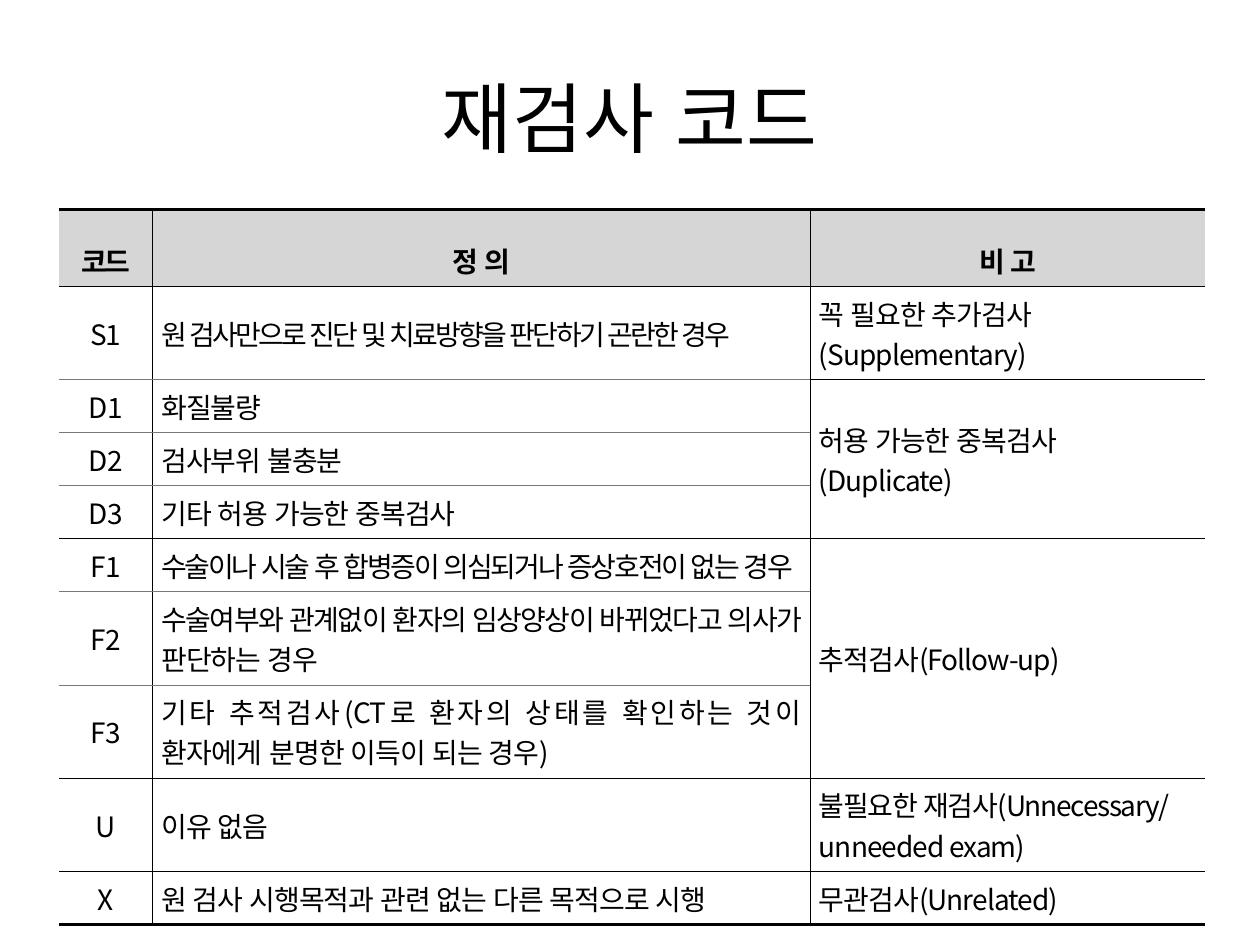
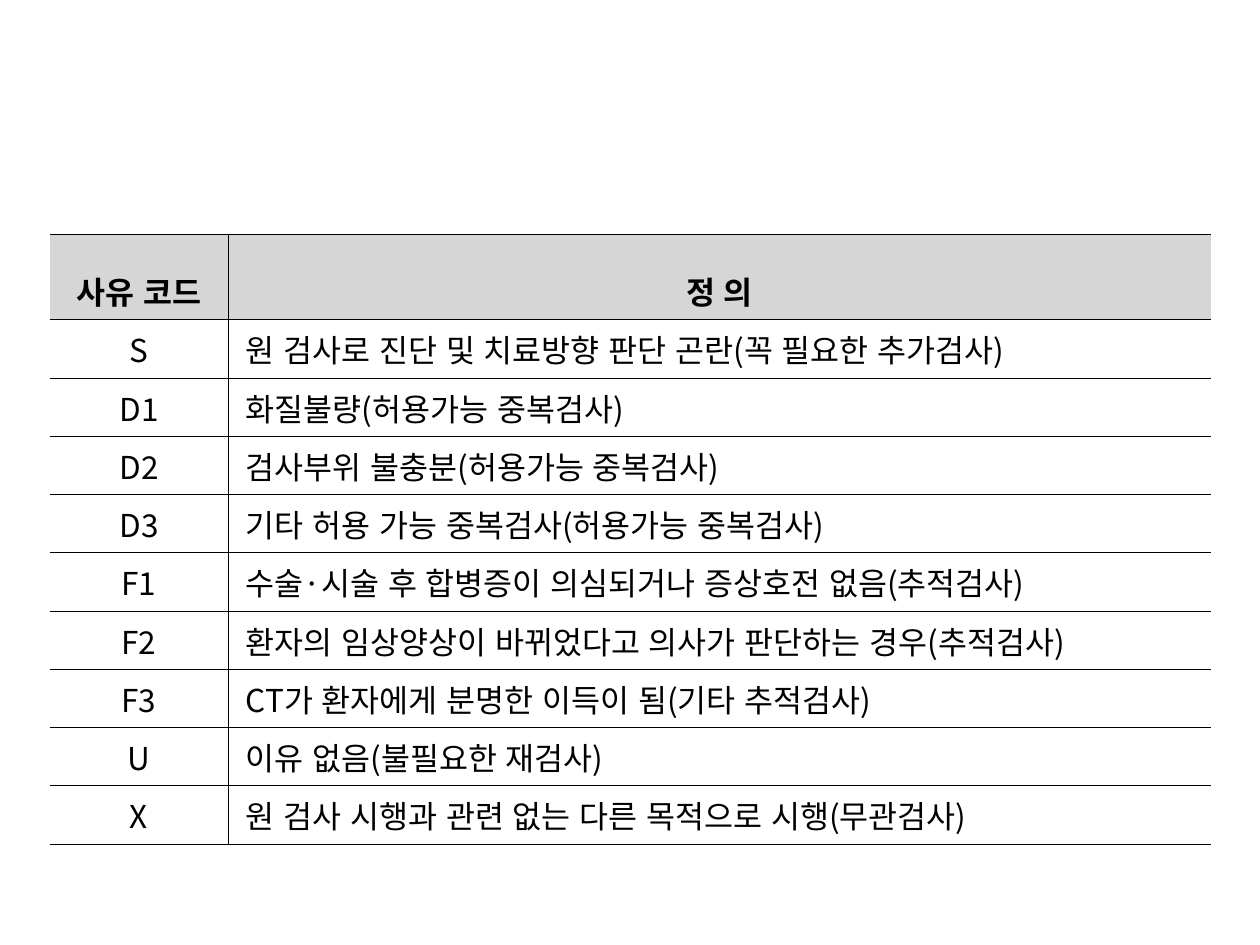
from dataclasses import dataclass

from lxml import etree
from pptx import Presentation
from pptx.dml.color import RGBColor
from pptx.enum.lang import MSO_LANGUAGE_ID as Lang
from pptx.enum.text import MSO_ANCHOR as Anchor, PP_ALIGN as Align
from pptx.oxml.ns import qn
from pptx.util import Pt


@dataclass(frozen=True)
class Theme:
    font: str = "Noto Sans CJK KR"
    ink: str = "000000"
    soft: str = "787878"
    header: str = "D6D6D6"
    title_size: float = 44
    detail_size: float = 16
    summary_size: float = 18
    line: float = 0.56
    heavy: float = 1.7
    hair: float = 0.25
    header_spacing: float = 1.6
    inset_x: float = 5.1
    inset_y: float = 3.6
    no_style: str = "{2D5ABB26-0587-4C30-8999-92F81FD0307C}"


class Deck:
    def __init__(self, theme):
        self.theme = theme
        self.prs = Presentation()
        self.prs.slide_width, self.prs.slide_height = Pt(720), Pt(540)
        self.s = None

    def slide(self, layout):
        self.s = self.prs.slides.add_slide(self.prs.slide_layouts.get_by_name(layout))

    def style(self, r, size, bold=False, spacing=0):
        f = r.font
        f.size, f.bold, f.name = Pt(size), bold, self.theme.font
        f.color.rgb = RGBColor.from_string(self.theme.ink)
        f.language_id = Lang.KOREAN
        rPr = r._r.get_or_add_rPr()
        etree.SubElement(rPr, qn("a:ea"), typeface=self.theme.font)
        if spacing:
            rPr.set("spc", str(round(spacing * 100)))

    def title(self, text, left, top, width, height):
        sp = self.s.shapes.title
        sp.left, sp.top, sp.width, sp.height = map(Pt, (left, top, width, height))
        tf = sp.text_frame
        tf.text = text
        tf.vertical_anchor = Anchor.MIDDLE
        p = tf.paragraphs[0]
        p.alignment = Align.CENTER
        self.style(p.runs[0], self.theme.title_size)

    def border(self, cell, side, width, color):
        ln = etree.SubElement(cell._tc.get_or_add_tcPr(), qn(f"a:ln{side}"))
        if not width:
            etree.SubElement(ln, qn("a:noFill"))
            return
        ln.set("w", str(Pt(width)))
        fill = etree.SubElement(ln, qn("a:solidFill"))
        etree.SubElement(fill, qn("a:srgbClr"), val=color)

    def cell_text(self, cell, text, size, align, bold, tracking, indent):
        tf = cell.text_frame
        tf.text = text.replace("|", "")
        for p, line in zip(tf.paragraphs, text.split("\n")):
            p.alignment = align
            if bold:
                p.line_spacing = self.theme.header_spacing
            elif indent:
                p._p.get_or_add_pPr().set("marL", str(Pt(indent)))
            parts = line.split("|")
            p.runs[0].text = parts[0]
            for part in parts[1:]:
                p.add_run().text = part
            for r in p.runs:
                spacing = tracking.get(r.text, tracking.get("", 0))
                self.style(r, size, bold, spacing)

    def table(self, data, left, top, widths, heights, size, edge,
              align=Align.LEFT, tracking=None, spans=None, soft_rows=(), indent=0):
        th = self.theme
        n_rows, n_cols = len(data), len(widths)
        frame = self.s.shapes.add_table(
            n_rows, n_cols, Pt(left), Pt(top), Pt(sum(widths)), Pt(sum(heights)))
        tbl = frame.table
        tbl.first_row = tbl.horz_banding = False
        for style_id in frame.element.iter(qn("a:tableStyleId")):
            style_id.text = th.no_style
        for col, width in zip(tbl.columns, widths):
            col.width = Pt(width)
        for row, height in zip(tbl.rows, heights):
            row.height = Pt(height)
        for start, count in (spans or {}).items():
            tbl.cell(start, n_cols - 1).merge(tbl.cell(start + count - 1, n_cols - 1))

        def rule(row, col):
            if row in (0, n_rows):
                return edge, th.ink
            soft = row in soft_rows and col < n_cols - 1
            return th.line, th.soft if soft else th.ink

        for i, texts in enumerate(data):
            for j, text in enumerate(texts):
                cell = tbl.cell(i, j)
                if cell.is_spanned:
                    continue
                is_header = i == 0
                cell.vertical_anchor = Anchor.MIDDLE
                cell.margin_left = cell.margin_right = Pt(th.inset_x)
                cell.margin_top = cell.margin_bottom = Pt(th.inset_y)
                end = i + (cell.span_height if cell.is_merge_origin else 1)
                self.border(cell, "L", th.line if j else 0, th.ink)
                self.border(cell, "R", th.line if j < n_cols - 1 else 0, th.ink)
                self.border(cell, "T", *rule(i, j))
                self.border(cell, "B", *rule(end, j))
                if is_header:
                    cell.fill.solid()
                    cell.fill.fore_color.rgb = RGBColor.from_string(th.header)
                else:
                    cell.fill.background()
                centred = is_header or j == 0
                self.cell_text(cell, text, size, Align.CENTER if centred else align,
                               is_header, tracking or {}, 0 if centred else indent)


DETAIL_ROWS = [
    ("코드", "정 의", "비 고"),
    ("S1", "원 검사만으로 진단 및 치료방향을 판단하기 곤란한 경우",
     "꼭 필요한 추가검사\n(Supplementary)"),
    ("D1", "화질불량", "허용 가능한 중복검사\n(Duplicate)"),
    ("D2", "검사부위 불충분", ""),
    ("D3", "기타 허용 가능한 중복검사", ""),
    ("F1", "수술이나 시술 후 합병증이 의심되거나 증상호전이 없는 경우",
     "추적검사(Follow-up)"),
    ("F2", "수술여부와 관계없이 환자의 임상양상이 바뀌었다고 의사가 |판단하는 경우", ""),
    ("F3", "기타 추적검사(CT로 환자의 상태를 확인하는 것이 환자에게 |분명한 이득이 되는 경우)", ""),
    ("U", "이유 없음", "불필요한 재검사(Unnecessary/\nunneeded exam)"),
    ("X", "원 검사 시행목적과 관련 없는 다른 목적으로 시행", "무관검사(Unrelated)"),
]

DETAIL_TRACKING = {
    "": -0.5,
    "코드": -1.5,
    "원 검사만으로 진단 및 치료방향을 판단하기 곤란한 경우": -1.5,
    "수술이나 시술 후 합병증이 의심되거나 증상호전이 없는 경우": -1.2,
    "수술여부와 관계없이 환자의 임상양상이 바뀌었다고 의사가 ": -0.8,
    "기타 추적검사(CT로 환자의 상태를 확인하는 것이 환자에게 ": -0.3,
    "불필요한 재검사(Unnecessary/": -0.7,
}

SUMMARY_ROWS = [
    ("사유 코드", "정 의"),
    ("S", "원 검사로 진단 및 치료방향 판단 곤란(꼭 필요한 추가검사)"),
    ("D1", "화질불량(허용가능 중복검사)"),
    ("D2", "검사부위 불충분(허용가능 중복검사)"),
    ("D3", "기타 허용 가능 중복검사(허용가능 중복검사)"),
    ("F1", "수술·시술 후 합병증이 의심되거나 증상호전 없음(추적검사)"),
    ("F2", "환자의 임상양상이 바뀌었다고 의사가 판단하는 경우(추적검사)"),
    ("F3", "CT가 환자에게 분명한 이득이 됨(기타 추적검사)"),
    ("U", "이유 없음(불필요한 재검사)"),
    ("X", "원 검사 시행과 관련 없는 다른 목적으로 시행(무관검사)"),
]


def main():
    theme = Theme()
    deck = Deck(theme)

    deck.slide("Title Only")
    deck.title("재검사 코드", 36, 21.6, 648, 90)
    one_line, two_lines = 30.3, 53.3
    heights = [44, two_lines] + [one_line] * 4 + [two_lines] * 3 + [one_line]
    deck.table(DETAIL_ROWS, 33.7, 119.6, [53.4, 375.8, 226], heights,
               theme.detail_size, theme.heavy, align=Align.JUSTIFY,
               tracking=DETAIL_TRACKING, spans={2: 3, 5: 3},
               soft_rows=(2, 3, 4, 6, 7))

    deck.slide("Blank")
    deck.table(SUMMARY_ROWS, 28.4, 133.9, [102, 561.4], [48.5] + [33.3] * 9,
               theme.summary_size, theme.hair, indent=5)

    deck.prs.save("out.pptx")


if __name__ == "__main__":
    main()
